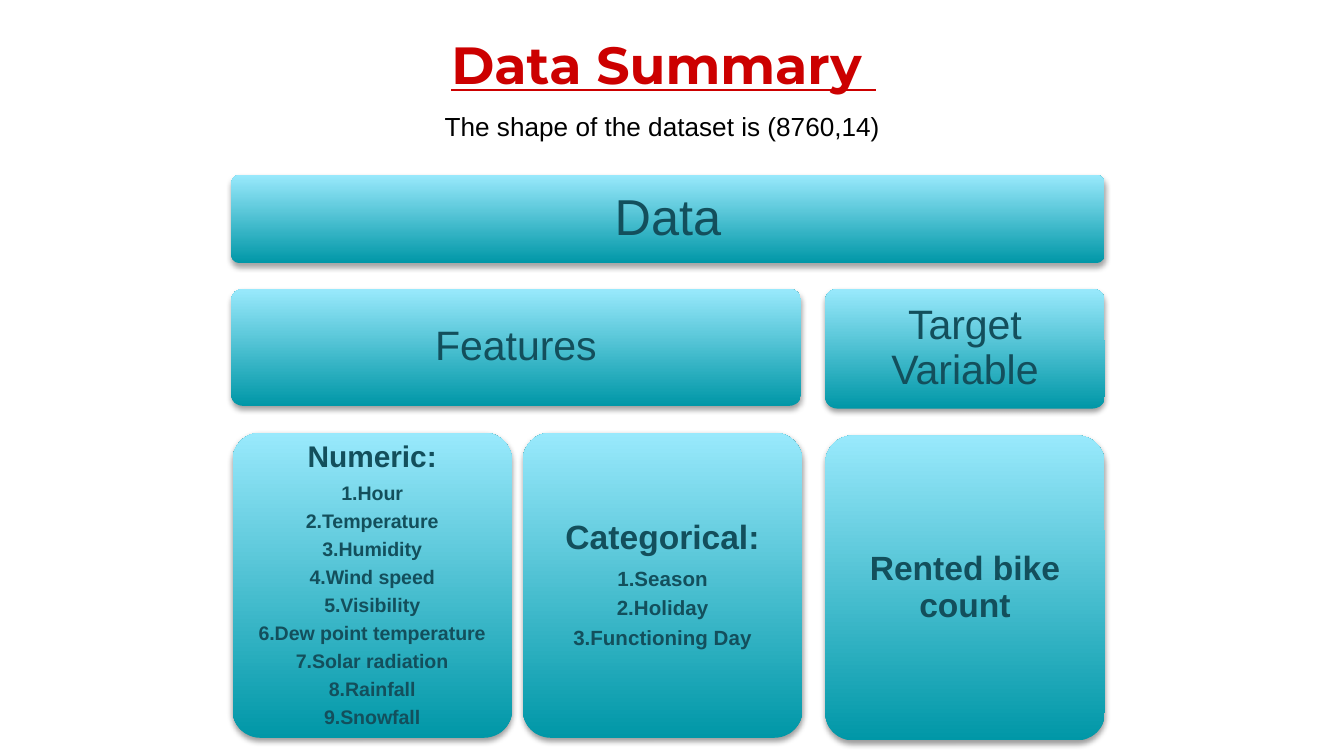
from lxml import etree
from pptx import Presentation
from pptx.dml.color import RGBColor
from pptx.enum import shapes, text
from pptx.oxml import ns
from pptx.util import Inches, Pt

RED = RGBColor(0xCC, 0x00, 0x00)
BLACK = RGBColor(0x00, 0x00, 0x00)
INK = RGBColor(0x13, 0x4F, 0x5C)
TEAL = RGBColor(0x00, 0x97, 0xA7)
SKY = RGBColor(0x99, 0xE9, 0xFC)

LEFT, RIGHT = 1.72, 8.22
COLUMN, COLUMN_GAP = 2.08, 0.08
FEATURES_WIDTH = 2 * COLUMN + COLUMN_GAP
TARGET_LEFT = RIGHT - COLUMN
LEVEL_GAP = 0.2
DETAIL_HEIGHT = 2.27

NUMERIC = ["Hour", "Temperature", "Humidity", "Wind speed", "Visibility",
           "Dew point temperature", "Solar radiation", "Rainfall", "Snowfall"]
CATEGORICAL = ["Season", "Holiday", "Functioning Day"]


def write(frame, lines, color, font="Arial", bold=False, underline=False,
          align=text.PP_ALIGN.CENTER, anchor=text.MSO_ANCHOR.MIDDLE,
          inset=0.1, wrap=True, line_spacing=None, after=0):
    """Fill a text frame with (words, size) lines in one format."""
    frame.word_wrap = wrap
    frame.auto_size = text.MSO_AUTO_SIZE.NONE
    frame.vertical_anchor = anchor
    frame.margin_left = frame.margin_right = Inches(inset)
    frame.margin_top = frame.margin_bottom = Inches(inset)
    for index, (words, size) in enumerate(lines):
        paragraph = frame.add_paragraph() if index else frame.paragraphs[0]
        paragraph.alignment = align
        paragraph.space_after = Pt(after * size)
        if line_spacing:
            paragraph.line_spacing = line_spacing
        run = paragraph.add_run()
        run.text = words
        run.font.name, run.font.size = font, Pt(size)
        run.font.bold, run.font.underline = bold, underline
        run.font.color.rgb = color


def add_shadow(tile, opacity, distance):
    """Give a tile a soft shadow that falls straight down."""
    tile.shadow.inherit = False
    effects = tile._element.spPr.find(ns.qn("a:effectLst"))
    shadow = etree.SubElement(effects, ns.qn("a:outerShdw"), blurRad=str(Pt(3.1)),
                              dist=str(Pt(distance)), dir="5400000",
                              algn="ctr", rotWithShape="0")
    black = etree.SubElement(shadow, ns.qn("a:srgbClr"), val="000000")
    etree.SubElement(black, ns.qn("a:alpha"), val=str(opacity * 1000))


def add_tile(slide, left, top, width, height, lines, inset=0.09, bold=False,
             opacity=38, distance=1.6):
    """Draw one rounded gradient tile with its text."""
    tile = slide.shapes.add_shape(
        shapes.MSO_SHAPE.ROUNDED_RECTANGLE,
        Inches(left), Inches(top), Inches(width), Inches(height))
    tile.adjustments[0] = 0.1
    tile.fill.gradient()
    tile.fill.gradient_angle = 90
    for stop, color, position in zip(tile.fill.gradient_stops, (TEAL, SKY), (0, 1)):
        stop.color.rgb = color
        stop.position = position
    tile.line.fill.background()
    add_shadow(tile, opacity, distance)
    write(tile.text_frame, lines, INK, bold=bold, inset=inset,
          line_spacing=0.9, after=0.35)


def add_heading(slide, left, top, width):
    """Place the title and the line on the dataset's shape beneath it."""
    title = slide.shapes.title
    title.left, title.top = Inches(left), Inches(top)
    title.width, title.height = Inches(width), Inches(0.63)
    write(title.text_frame, [("Data Summary ", 28)], RED, font="Montserrat",
          bold=True, underline=True, anchor=text.MSO_ANCHOR.TOP)
    dataset_shape = slide.shapes.add_textbox(
        Inches(left + 2.93), Inches(top + 0.63), Inches(3.45), Inches(0.34))
    write(dataset_shape.text_frame, [("The shape of the dataset is (8760,14)", 14)],
          BLACK, align=text.PP_ALIGN.LEFT, anchor=text.MSO_ANCHOR.TOP,
          inset=0.05, wrap=False)
    dataset_shape.text_frame.margin_left = Inches(0.1)


def numbered(heading, heading_size, names, size):
    """Return a heading line followed by numbered names."""
    return [(heading, heading_size)] + [
        (f"{number}.{name}", size) for number, name in enumerate(names, 1)]


def add_features(slide, left, top):
    """Place the features tile above its numeric and categorical lists."""
    height = 0.87
    add_tile(slide, left, top, FEATURES_WIDTH, height, [("Features", 22)])
    lists = [numbered("Numeric:", 16, NUMERIC, 10.5),
             numbered("Categorical:", 18, CATEGORICAL, 11)]
    for column, lines in enumerate(lists):
        add_tile(slide, left + 0.01 + column * (COLUMN + COLUMN_GAP),
                 top + height + LEVEL_GAP, COLUMN, DETAIL_HEIGHT, lines,
                 inset=0.07, bold=True)


def add_target(slide, left, top):
    """Place the target variable tile above its one value."""
    height = 0.89
    add_tile(slide, left, top, COLUMN, height, [("Target Variable", 22)])
    add_tile(slide, left, top + height + LEVEL_GAP, COLUMN, DETAIL_HEIGHT,
             [("Rented bike count", 18)], inset=0.07, bold=True)


def main():
    """Build the slide and save it."""
    deck = Presentation()
    deck.slide_width = Inches(10)
    deck.slide_height = deck.slide_width * 9 // 16
    slide = deck.slides.add_slide(deck.slide_layouts.get_by_name("Title Only"))
    add_heading(slide, 0.28, 0.14, 9.32)
    add_tile(slide, LEFT, 1.3, RIGHT - LEFT, 0.66, [("Data", 27)],
             inset=0.11, opacity=35, distance=1.8)
    add_features(slide, LEFT, 2.15)
    add_target(slide, TARGET_LEFT, 2.15)
    deck.save("out.pptx")


if __name__ == "__main__":
    main()
